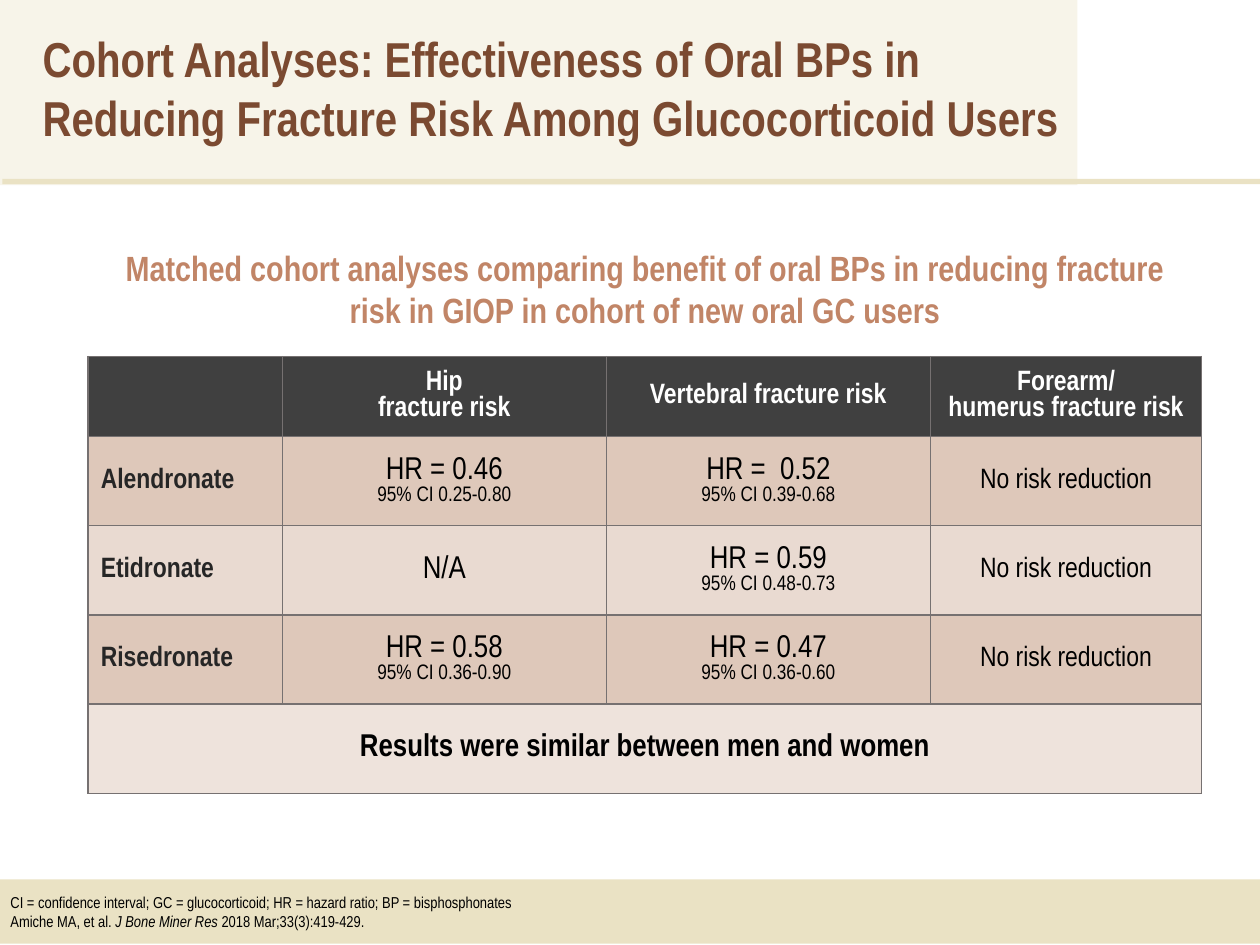
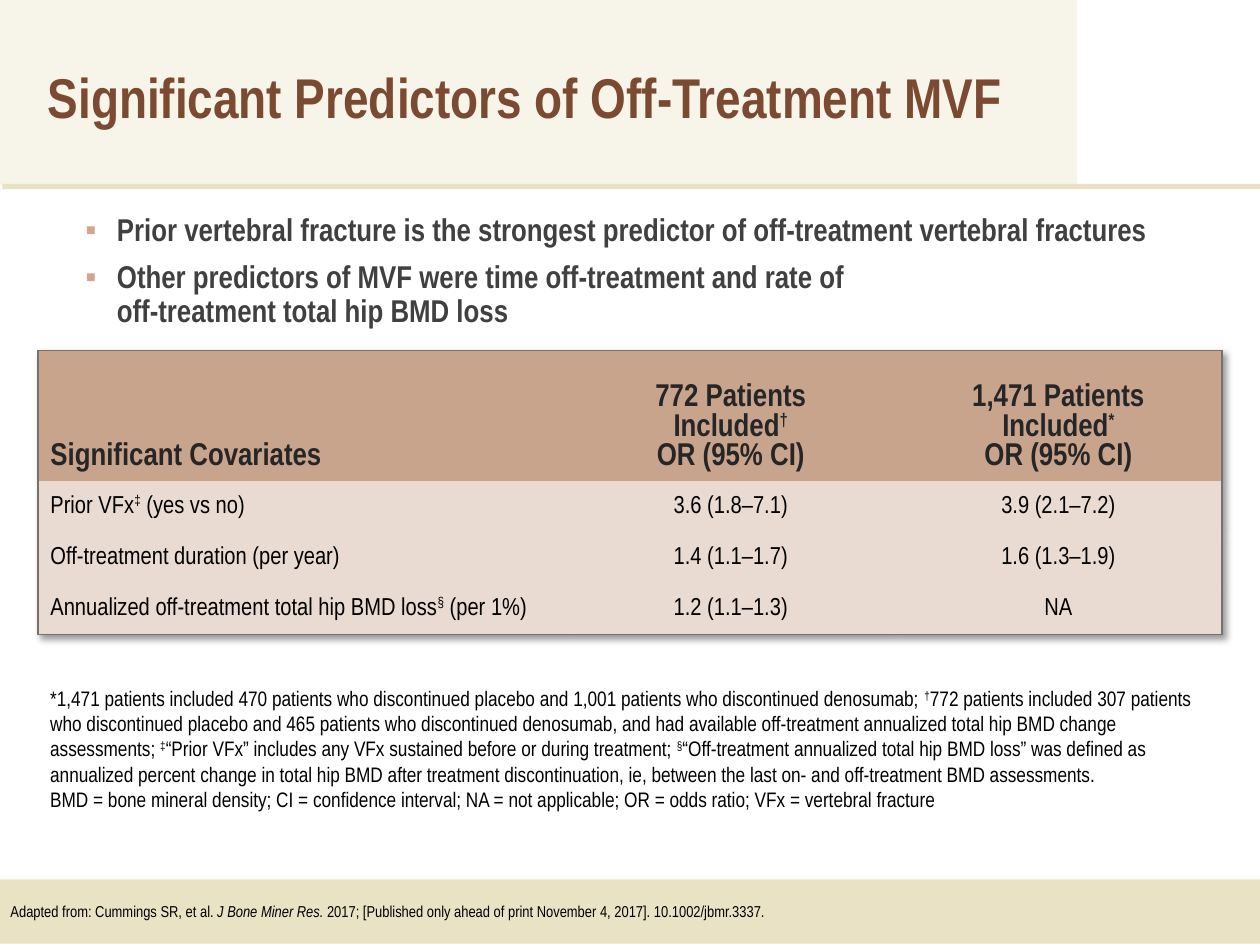
"""Builds two slides on fracture risk and predictors of off-treatment fractures."""
import dataclasses

import lxml.etree
import pptx
import pptx.dml.color
import pptx.enum.shapes
import pptx.enum.text
import pptx.oxml.ns
import pptx.util

Pt = pptx.util.Pt
RGB = pptx.dml.color.RGBColor.from_string
qn = pptx.oxml.ns.qn
ALIGN = pptx.enum.text.PP_ALIGN
ANCHOR = pptx.enum.text.MSO_ANCHOR


@dataclasses.dataclass(frozen=True)
class Theme:
    """Holds the colours, fonts and type sizes of the deck."""
    font: str = "Arial Narrow"
    bullet_font: str = "Arial"
    black: str = "000000"
    white: str = "FFFFFF"
    title: str = "7B4A31"
    subtitle: str = "C18567"
    bullet: str = "D2A58E"
    bullet_text: str = "404040"
    dark_head: str = "404040"
    label: str = "262626"
    title_band: str = "F7F4E9"
    footer_band: str = "EAE2C4"
    tan: str = "C9A48D"
    pale_tan: str = "EADBD2"
    border: str = "767171"
    long_title_size: int = 28
    short_title_size: int = 32
    footer_size: int = 9
    note_size: int = 12
    covariate_size: int = 14
    head_size: int = 16
    body_size: int = 18
    subtitle_size: int = 20


THEME = Theme()


def write(frame, paragraphs, size, color=THEME.black, bold=False, align=ALIGN.LEFT,
          spacing=None, sizes=()):
    """Fill a text frame; a run is a string or a (string, 'sup' or 'italic') pair."""
    for index, runs in enumerate(paragraphs):
        paragraph = frame.paragraphs[0] if index == 0 else frame.add_paragraph()
        paragraph.alignment = align
        if spacing:
            paragraph.line_spacing = spacing
        for part in [runs] if isinstance(runs, str) else runs:
            text, style = (part, None) if isinstance(part, str) else part
            for line_index, line in enumerate(text.split("\n")):
                if line_index:
                    paragraph.add_line_break()
                run = paragraph.add_run()
                run.text = line
                run.font.name = THEME.font
                run.font.size = Pt(sizes[index] if sizes else size)
                run.font.bold = bold
                run.font.italic = style == "italic"
                run.font.color.rgb = RGB(color)
                if style == "sup":
                    run._r.get_or_add_rPr().set("baseline", "30000")


def add_text(slide, box, paragraphs, size, anchor=ANCHOR.TOP, **style):
    """Add a wrapping text box and return its frame."""
    frame = slide.shapes.add_textbox(*map(Pt, box)).text_frame
    frame.word_wrap = True
    frame.vertical_anchor = anchor
    write(frame, paragraphs, size, **style)
    return frame


def add_band(slide, box, color):
    """Add a plain filled rectangle."""
    band = slide.shapes.add_shape(pptx.enum.shapes.MSO_SHAPE.RECTANGLE, *map(Pt, box))
    band.shadow.inherit = False
    band.fill.solid()
    band.fill.fore_color.rgb = RGB(color)
    band.line.fill.background()
    return band


def add_frame(deck, title, title_box, title_size, rule_top, source):
    """Add a slide with its title band, rule and footer."""
    slide = deck.slides.add_slide(deck.slide_layouts[6])
    add_band(slide, (0, 0, 615.6, 105.84), THEME.title_band)
    add_text(slide, title_box, [title], title_size, color=THEME.title, bold=True)
    footer = add_band(slide, (0, 502.56, 720, 36.72), THEME.footer_band).text_frame
    footer.word_wrap = True
    footer.margin_left = Pt(6)
    footer.vertical_anchor = ANCHOR.MIDDLE
    write(footer, source, THEME.footer_size)
    add_band(slide, (1.4, rule_top, 718.6, 3), THEME.footer_band)
    return slide


def add_grid(slide, left, top, widths, heights):
    """Add an unstyled table and return it."""
    box = map(Pt, (left, top, sum(widths), sum(heights)))
    table = slide.shapes.add_table(len(heights), len(widths), *box).table
    table.first_row = table.horz_banding = False
    for column, width in zip(table.columns, widths):
        column.width = Pt(width)
    for row, height in zip(table.rows, heights):
        row.height = Pt(height)
    return table


def style_cell(cell, fill, sides, margin, anchor=ANCHOR.MIDDLE, alpha=None):
    """Set a cell's fill, margins and the borders of the given sides."""
    cell.margin_top = cell.margin_bottom = Pt(margin)
    cell.vertical_anchor = anchor
    cell.fill.solid()
    cell.fill.fore_color.rgb = RGB(fill)
    properties = cell._tc.get_or_add_tcPr()
    if alpha:
        shade = properties.find(".//" + qn("a:srgbClr"))
        lxml.etree.SubElement(shade, qn("a:alpha"), val=str(alpha * 1000))
    for position, side in enumerate("LRTB"):
        edge = lxml.etree.Element(qn("a:ln" + side), w=str(Pt(1)))
        if side in sides:
            paint = lxml.etree.SubElement(edge, qn("a:solidFill"))
            lxml.etree.SubElement(paint, qn("a:srgbClr"), val=THEME.border)
        else:
            lxml.etree.SubElement(edge, qn("a:noFill"))
        properties.insert(position, edge)


def add_table_shadow(table):
    """Give a table a soft shadow to the lower right."""
    effects = lxml.etree.Element(qn("a:effectLst"))
    table._tbl.tblPr.insert(0, effects)
    shadow = lxml.etree.SubElement(effects, qn("a:outerShdw"), blurRad=str(Pt(4)),
                                   dist=str(Pt(3)), dir="2700000", algn="tl", rotWithShape="0")
    shade = lxml.etree.SubElement(shadow, qn("a:prstClr"), val="black")
    lxml.etree.SubElement(shade, qn("a:alpha"), val="40000")


def add_risk_table(slide):
    """Add the hazard ratios by drug and fracture site."""
    heads = [[], ["Hip", "fracture risk"], ["Vertebral fracture risk"],
             ["Forearm/", "humerus fracture risk"]]
    no_effect = ["No risk reduction"]
    drugs = [
        ("Alendronate", ["HR = 0.46", "95% CI 0.25-0.80"], ["HR =  0.52", "95% CI 0.39-0.68"]),
        ("Etidronate", ["N/A"], ["HR = 0.59", "95% CI 0.48-0.73"]),
        ("Risedronate", ["HR = 0.58", "95% CI 0.36-0.90"], ["HR = 0.47", "95% CI 0.36-0.60"]),
    ]
    table = add_grid(slide, 50.4, 203.76, (110.9, 185.2, 185.2, 155), (45.4,) + (51,) * 4)
    for column, head in enumerate(heads):
        cell = table.cell(0, column)
        style_cell(cell, THEME.dark_head, "LRTB", 3.6)
        write(cell.text_frame, head, THEME.head_size, THEME.white, True, ALIGN.CENTER)
    for row, ((drug, *ratios), alpha) in enumerate(zip(drugs, (60, 40, 60)), 1):
        cells = [table.cell(row, column) for column in range(len(heads))]
        for cell in cells:
            style_cell(cell, THEME.tan, "LRTB", 3, alpha=alpha)
        write(cells[0].text_frame, [drug], THEME.head_size, THEME.label, True)
        for cell, ratio in zip(cells[1:], ratios):
            write(cell.text_frame, ratio, THEME.body_size, align=ALIGN.CENTER,
                  sizes=(THEME.body_size, THEME.note_size))
        write(cells[-1].text_frame, no_effect, THEME.head_size, align=ALIGN.CENTER)
    for column in range(len(heads)):
        style_cell(table.cell(4, column), THEME.tan, "LRTB", 3, alpha=30)
    summary = table.cell(4, 0)
    summary.merge(table.cell(4, 3))
    write(summary.text_frame, ["Results were similar between men and women"],
          THEME.body_size, bold=True, align=ALIGN.CENTER)


def add_predictor_table(slide):
    """Add the odds ratios of the significant covariates."""
    rows = [
        (["Significant Covariates"],
         ["772 Patients", ["Included", ("†", "sup")], "OR (95% CI)"],
         ["1,471 Patients", ["Included", ("*", "sup")], "OR (95% CI)"]),
        ([["Prior VFx", ("‡", "sup"), " (yes vs no)"]], ["3.6 (1.8–7.1)"], ["3.9 (2.1–7.2)"]),
        (["Off-treatment duration (per year)"], ["1.4 (1.1–1.7)"], ["1.6 (1.3–1.9)"]),
        ([["Annualized off-treatment total hip BMD loss", ("§", "sup"), " (per 1%)"]],
         ["1.2 (1.1–1.3)"], ["NA"]),
    ]
    table = add_grid(slide, 21.6, 200.16, (302.4, 187.2, 187.2), (74.3,) + (29.2,) * 3)
    add_table_shadow(table)
    for row, contents in enumerate(rows):
        for column, paragraphs in enumerate(contents):
            cell = table.cell(row, column)
            sides = {0: "L", 2: "R"}.get(column, "") + {0: "T", 3: "B"}.get(row, "")
            align = ALIGN.CENTER if column else ALIGN.LEFT
            if row == 0:
                style_cell(cell, THEME.tan, sides, 5, ANCHOR.BOTTOM)
                write(cell.text_frame, paragraphs, THEME.body_size, THEME.label, True, align)
            else:
                style_cell(cell, THEME.pale_tan, sides, 5)
                write(cell.text_frame, paragraphs, THEME.covariate_size, align=align)


def add_bullets(slide, box, points):
    """Add a list with square bullets."""
    frame = add_text(slide, box, points, THEME.body_size, color=THEME.bullet_text,
                     bold=True, spacing=0.9)
    for index, paragraph in enumerate(frame.paragraphs):
        if index:
            paragraph.space_before = Pt(7.5)
        properties = paragraph._p.get_or_add_pPr()
        properties.set("marL", str(Pt(18)))
        properties.set("indent", str(-Pt(18)))
        tint = lxml.etree.SubElement(properties, qn("a:buClr"))
        lxml.etree.SubElement(tint, qn("a:srgbClr"), val=THEME.bullet)
        lxml.etree.SubElement(properties, qn("a:buFont"), typeface=THEME.bullet_font)
        lxml.etree.SubElement(properties, qn("a:buChar"), char="▪")


def add_cohort_slide(deck):
    """Build the slide on cohort analyses."""
    slide = add_frame(
        deck, "Cohort Analyses: Effectiveness of Oral BPs in Reducing Fracture Risk "
        "Among Glucocorticoid Users", (17.28, 12.96, 606.24, 74.88),
        THEME.long_title_size, 102.24,
        ["CI = confidence interval; GC = glucocorticoid; HR = hazard ratio; BP = bisphosphonates",
         ["Amiche MA, et al. ", ("J Bone Miner Res", "italic"), " 2018 Mar;33(3):419-429."]])
    add_risk_table(slide)
    add_text(slide, (50.4, 137.52, 636.48, 55.44),
             ["Matched cohort analyses comparing benefit of oral BPs in reducing fracture "
              "risk in GIOP in cohort of new oral GC users"],
             THEME.subtitle_size, color=THEME.subtitle, bold=True, align=ALIGN.CENTER)


def add_predictors_slide(deck):
    """Build the slide on predictors of fractures."""
    slide = add_frame(
        deck, "Significant Predictors of Off-Treatment MVF", (20.16, 32.4, 581.76, 46.08),
        THEME.short_title_size, 105.12,
        [["Adapted from: Cummings SR, et al. ", ("J Bone Miner Res. ", "italic"),
          "2017; [Published only ahead of print November 4, 2017]. 10.1002/jbmr.3337."]])
    add_predictor_table(slide)
    add_bullets(slide, (41.76, 118.8, 648, 80), [
        "Prior vertebral fracture is the strongest predictor of off-treatment vertebral fractures",
        "Other predictors of MVF were time off-treatment and rate of\n"
        "off-treatment total hip BMD loss"])
    add_text(slide, (21.6, 385.92, 676.8, 81.36), [
        ["*1,471 patients included 470 patients who discontinued placebo and 1,001 patients who "
         "discontinued denosumab; ", ("†", "sup"),
         "772 patients included 307 patients who discontinued placebo and 465 patients who "
         "discontinued denosumab, and had available off-treatment annualized total hip BMD "
         "change assessments; ", ("‡", "sup"),
         "“Prior VFx” includes any VFx sustained before or during treatment; ", ("§", "sup"),
         "“Off-treatment annualized total hip BMD loss” was defined as annualized percent change "
         "in total hip BMD after treatment discontinuation, ie, between the last on- and "
         "off-treatment BMD assessments."],
        "BMD = bone mineral density; CI = confidence interval; NA = not applicable; "
        "OR = odds ratio; VFx = vertebral fracture"], THEME.note_size, ANCHOR.BOTTOM)


def main():
    """Build and save the deck."""
    deck = pptx.Presentation()
    deck.slide_width, deck.slide_height = Pt(720), Pt(540)
    add_cohort_slide(deck)
    add_predictors_slide(deck)
    deck.save("out.pptx")


if __name__ == "__main__":
    main()
